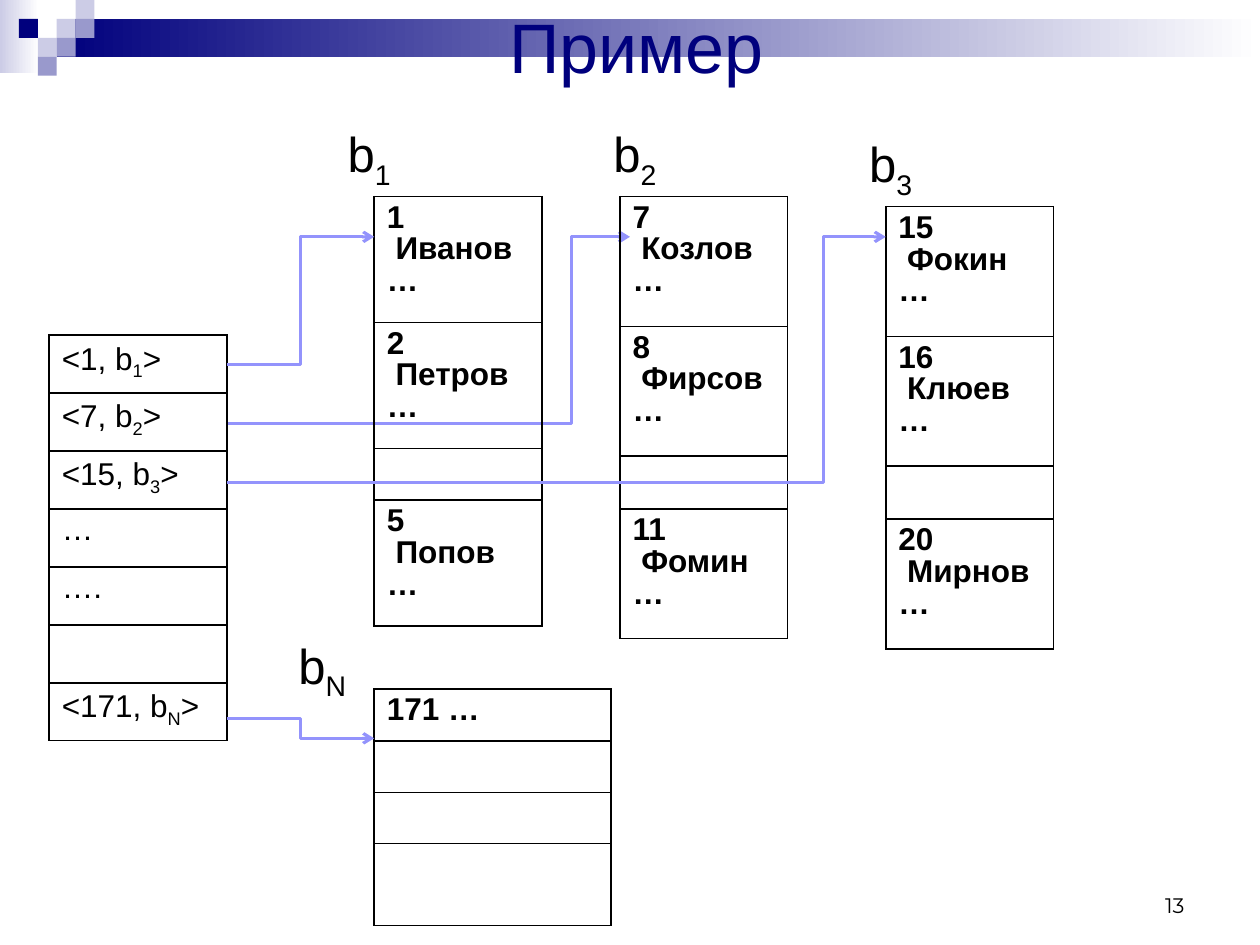
from dataclasses import dataclass

from lxml.etree import SubElement
from pptx import Presentation
from pptx.dml.color import RGBColor
from pptx.enum.shapes import MSO_CONNECTOR as Connector, MSO_SHAPE as Preset
from pptx.enum.text import MSO_ANCHOR as Anchor, MSO_AUTO_SIZE as AutoSize, PP_ALIGN as Align
from pptx.oxml import parse_xml
from pptx.oxml.ns import nsdecls, qn
from pptx.util import Inches, Pt

GRID_COLUMNS = 100
SQUARE = 1.5
NAVY, LILAC, MAUVE, ARROW = "00007D", "CCCCE6", "9999CC", "9393FC"
BLACK, WHITE = "000000", "FFFFFF"
SUBSCRIPT = "-25000"


@dataclass
class Label:
    """A block name with a subscript, placed at a grid position."""
    left: float
    top: float
    subscript: str


@dataclass
class Grid:
    """A one-column table; a cell may hold line breaks and one _subscript_."""
    left: float
    top: float
    width: float
    row_heights: list[float]
    cells: list[str]
    bold: bool = True


@dataclass
class Arrow:
    """An elbow arrow whose bend is a share of its width."""
    start: tuple[float, float]
    end: tuple[float, float]
    bend: float = 0.5


SQUARES = [(3, 1, LILAC), (4, 0, LILAC), (4, 1, MAUVE), (2, 2, LILAC),
           (1, 1, NAVY), (3, 2, MAUVE), (2, 3, MAUVE)]

INDEX = Grid(3.9, 26.6, 14.1, [4.6] * 7,
             ["<1, b_1_>", "<7, b_2_>", "<15, b_3_>", "…", "….", "", "<171, b_N_>"], bold=False)
SHORT_ROWS = [10, 10, 4.1, 10]
TALL_ROWS = [10.3, 10.3, 4.2, 10.3]
BLOCKS = [
    Grid(29.7, 15.6, 13.3, SHORT_ROWS, ["1\n Иванов\n…", "2\n Петров\n…", "", "5\n Попов\n…"]),
    Grid(49.2, 15.6, 13.3, TALL_ROWS, ["7\n Козлов\n…", "8\n Фирсов\n…", "", "11\n Фомин\n…"]),
    Grid(70.3, 16.4, 13.3, TALL_ROWS, ["15\n Фокин\n…", "16\n Клюев\n…", "", "20\n Мирнов\n…"]),
    Grid(29.7, 54.7, 18.8, [4.1, 4.1, 4, 6.5], ["171 …", "", "", ""]),
]
LABELS = [Label(26.6, 9.4, "1"), Label(47.7, 9.4, "2"), Label(68, 10.2, "3"), Label(22.7, 50, "N")]
BACK_ARROW = Arrow((18, 33.6), (50, 18.8), 0.855)
FRONT_ARROWS = [
    Arrow((18, 28.9), (29.7, 18.8)),
    Arrow((18, 38.3), (70.3, 18.8), 0.906),
    Arrow((18, 57), (29.7, 58.6)),
]

presentation = Presentation()
presentation.slide_width, presentation.slide_height = Inches(10), Inches(7.5)


def units(*counts: float) -> list[int]:
    """Turn grid counts into lengths."""
    return [round(presentation.slide_width * count / GRID_COLUMNS) for count in counts]


def color(value: str) -> RGBColor:
    """Read a hex colour."""
    return RGBColor.from_string(value)


def write(paragraph, text: str, size: float, font: str = "Arial",
          value: str = BLACK, bold: bool = False) -> None:
    """Write runs, with _marked_ parts lowered and newlines as line breaks."""
    for part_number, part in enumerate(text.split("_")):
        for line_number, line in enumerate(part.split("\n")):
            if line_number:
                paragraph.add_line_break()
            if not line:
                continue
            run = paragraph.add_run()
            run.text = line
            run.font.size, run.font.name, run.font.bold = Pt(size), font, bold
            run.font.color.rgb = color(value)
            if part_number % 2:
                run.font._element.set("baseline", SUBSCRIPT)


def draw_rectangle(slide, box: tuple[float, ...], value: str, fade: bool = False) -> None:
    """Draw a plain rectangle, or one that fades to white."""
    shape = slide.shapes.add_shape(Preset.RECTANGLE, *units(*box))
    shape.shadow.inherit = False
    shape.line.fill.background()
    if fade:
        shape.fill.gradient()
        shape.fill.gradient_angle = 0
        for stop, stop_value in zip(shape.fill.gradient_stops, (value, WHITE)):
            stop.color.rgb = color(stop_value)
    else:
        shape.fill.solid()
        shape.fill.fore_color.rgb = color(value)


def draw_arrow(slide, arrow: Arrow) -> None:
    """Draw an elbow connector with an open head."""
    connector = slide.shapes.add_connector(Connector.ELBOW, *units(*arrow.start, *arrow.end))
    connector.line.width = Pt(1.75)
    connector.line.color.rgb = color(ARROW)
    properties = connector._element.spPr
    SubElement(properties.find(qn("a:ln")), qn("a:tailEnd"), type="arrow")
    SubElement(properties, qn("a:effectLst"))
    adjustments = properties.find(qn("a:prstGeom")).get_or_add_avLst()
    SubElement(adjustments, qn("a:gd"), name="adj1", fmla=f"val {round(arrow.bend * 100000)}")


def draw_grid(slide, grid: Grid) -> None:
    """Draw a one-column table with thin black borders and no fill."""
    frame = slide.shapes.add_table(len(grid.cells), 1, *units(
        grid.left, grid.top, grid.width, sum(grid.row_heights)))
    table = frame.table
    table.first_row = table.horz_banding = False
    for row, height, text in zip(table.rows, grid.row_heights, grid.cells):
        row.height = units(height)[0]
        cell = row.cells[0]
        cell.fill.background()
        for position, side in enumerate(("lnL", "lnR", "lnT", "lnB")):
            cell._tc.get_or_add_tcPr().insert(position, parse_xml(
                f'<a:{side} {nsdecls("a")} w="{Pt(1)}"><a:solidFill>'
                f'<a:srgbClr val="{BLACK}"/></a:solidFill></a:{side}>'))
        paragraph = cell.text_frame.paragraphs[0]
        paragraph.line_spacing = 0.9
        write(paragraph, text, 18, bold=grid.bold)


def draw_label(slide, label: Label) -> None:
    """Draw the name of a block."""
    frame = slide.shapes.add_textbox(*units(label.left, label.top, 7.8, 5.2)).text_frame
    frame.word_wrap = True
    frame.auto_size = AutoSize.SHAPE_TO_FIT_TEXT
    frame.paragraphs[0].line_spacing = 0.9
    write(frame.paragraphs[0], f"b_{label.subscript}_", 28)


def draw_title(slide, text: str) -> None:
    """Place the title above the band."""
    title = slide.shapes.title
    title.left, title.top, title.width, title.height = units(5.5, 0, 90, 7.3)
    slide.shapes._spTree.append(title._element)
    title.text_frame.vertical_anchor = Anchor.MIDDLE
    paragraph = title.text_frame.paragraphs[0]
    paragraph.alignment = Align.CENTER
    write(paragraph, text, 40, value=NAVY)


def draw_page_number(slide, text: str) -> None:
    """Write the page number at the lower right."""
    frame = slide.shapes.add_textbox(*units(71.7, 68.3, 23.3, 5)).text_frame
    frame.word_wrap = True
    frame.vertical_anchor = Anchor.BOTTOM
    frame.paragraphs[0].alignment = Align.RIGHT
    write(frame.paragraphs[0], text, 12, font="Montserrat")


def main() -> None:
    """Build the slide and save it."""
    slide = presentation.slides.add_slide(presentation.slide_layouts[5])
    draw_rectangle(slide, (0, 0, 3.1, 5.8), LILAC, fade=True)
    draw_rectangle(slide, (4.5, 1.5, 95.5, 3), NAVY, fade=True)
    for column, row, value in SQUARES:
        draw_rectangle(slide, (column * SQUARE, row * SQUARE, SQUARE, SQUARE), value)
    draw_arrow(slide, BACK_ARROW)
    draw_title(slide, "Пример")
    for grid in (INDEX, *BLOCKS):
        draw_grid(slide, grid)
    for label in LABELS:
        draw_label(slide, label)
    for arrow in FRONT_ARROWS:
        draw_arrow(slide, arrow)
    draw_page_number(slide, "13")
    presentation.save("out.pptx")


if __name__ == "__main__":
    main()
